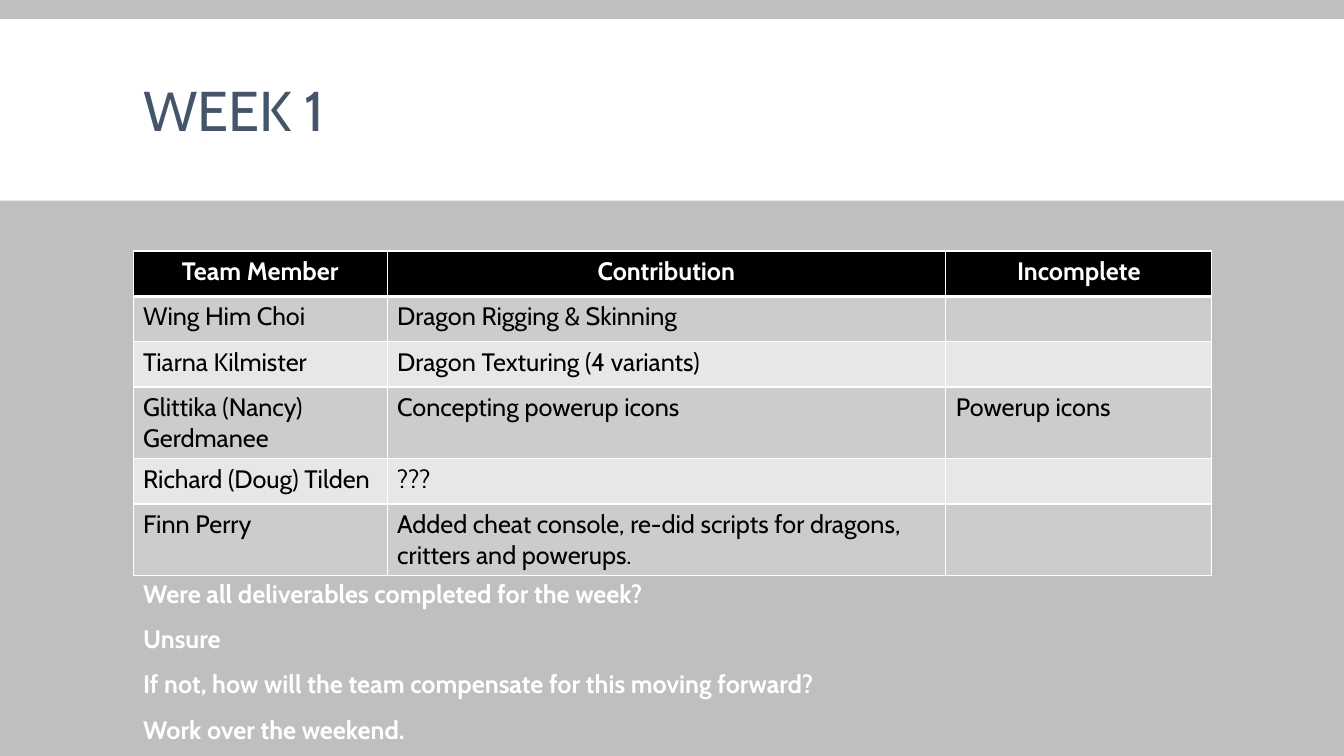
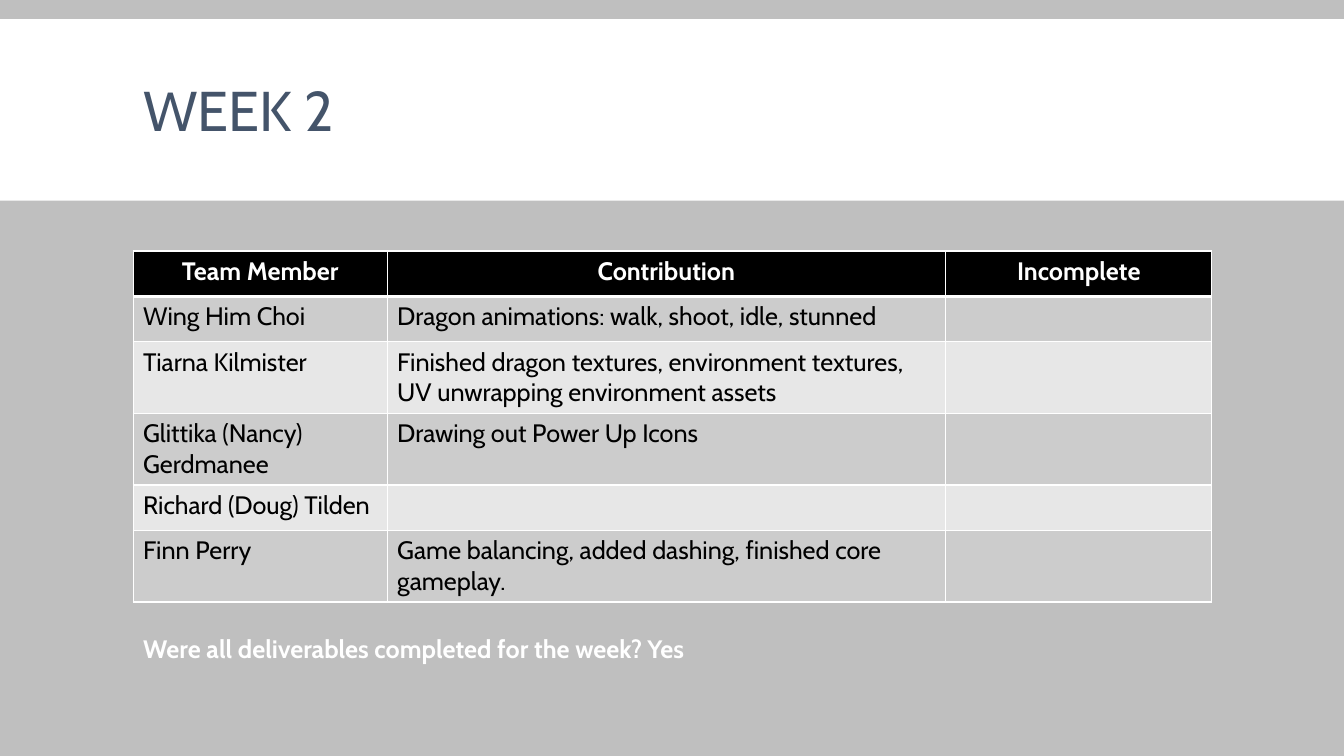
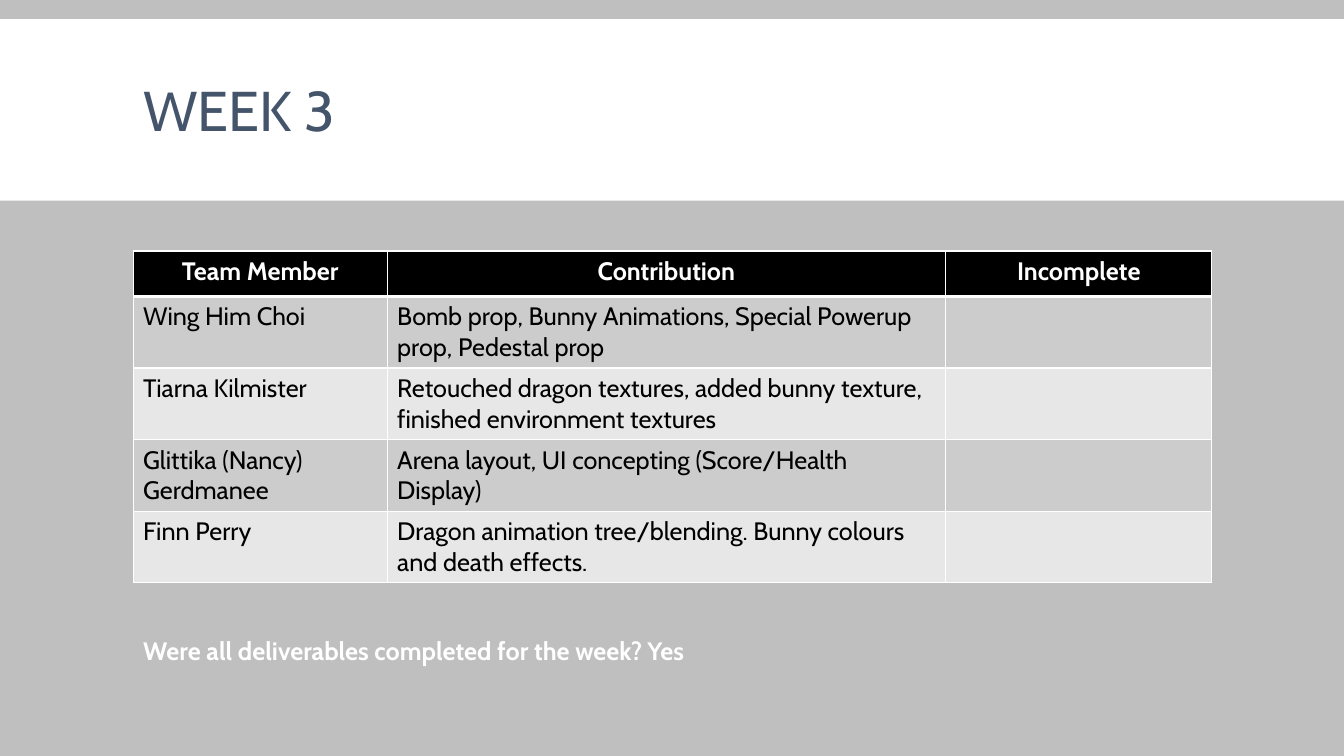
from dataclasses import dataclass

from lxml.etree import SubElement
from pptx import Presentation
from pptx.dml.color import RGBColor
from pptx.enum.shapes import MSO_SHAPE
from pptx.enum.text import MSO_ANCHOR, MSO_AUTO_SIZE, PP_ALIGN
from pptx.oxml.ns import qn
from pptx.util import Inches, Pt


@dataclass(frozen=True)
class Theme:
    """Colours, font and type sizes of the whole presentation."""
    font: str = "Cabin"
    title_size: int = 40
    text_size: int = 18
    background: str = "BFBFBF"
    white: str = "FFFFFF"
    black: str = "000000"
    title: str = "44546A"
    row_fills: tuple = ("CCCCCC", "E7E7E7")


@dataclass(frozen=True)
class Box:
    """A region of the slide, in inches."""
    left: float
    top: float
    width: float
    height: float

    def lengths(self):
        """Return the four sides as slide lengths."""
        return [Inches(n) for n in (self.left, self.top, self.width, self.height)]


THEME = Theme()
LEFT, WIDTH = 1.32, 10.7
BAND = Box(0, 0.19, 13.33, 1.8)
TITLE = Box(LEFT, 0.31, WIDTH, 1.65)
ROW_HEIGHT = 0.45
COLUMN_WIDTHS = (2.52, 5.54, 2.64)
HEADINGS = ("Team Member", "Contribution", "Incomplete")
WING, TIARNA, NANCY, DOUG, FINN = (
    "Wing Him Choi", "Tiarna Kilmister", "Glittika (Nancy) Gerdmanee",
    "Richard (Doug) Tilden", "Finn Perry")
QUESTION = "Were all deliverables completed for the week?"
ANSWER_TAB = 7


@dataclass(frozen=True)
class Week:
    """The report of one week."""
    title: str
    contributions: tuple
    review: tuple
    review_box: Box
    review_spacing: float = 0.95


WEEKS = (
    Week("WEEK 1", (
        (WING, "Dragon Rigging & Skinning", ""),
        (TIARNA, "Dragon Texturing (4 variants)", ""),
        (NANCY, "Concepting powerup icons", "Powerup icons"),
        (DOUG, "???", ""),
        (FINN, "Added cheat console, re-did scripts for dragons, "
               "critters and powerups.", "")),
        (QUESTION, "Unsure",
         "If not, how will the team compensate for this moving forward?",
         "Work over the weekend."),
        Box(LEFT, 5.73, WIDTH, 1.77), 0.85),
    Week("WEEK 2", (
        (WING, "Dragon animations: walk, shoot, idle, stunned", ""),
        (TIARNA, "Finished dragon textures, environment textures, "
                 "UV unwrapping environment assets", ""),
        (NANCY, "Drawing out Power Up Icons", ""),
        (DOUG, "", ""),
        (FINN, "Game balancing, added dashing, finished core gameplay.", "")),
        (QUESTION + "\tYes",), Box(LEFT, 6.25, WIDTH, 0.88)),
    Week("WEEK 3", (
        (WING, "Bomb prop, Bunny Animations, Special Powerup prop, "
               "Pedestal prop", ""),
        (TIARNA, "Retouched dragon textures, added bunny texture, "
                 "finished environment textures", ""),
        (NANCY, "Arena layout, UI concepting (Score/Health Display)", ""),
        (FINN, "Dragon animation tree/blending. Bunny colours "
               "and death effects.", "")),
        (QUESTION + "\tYes",), Box(LEFT, 6.27, WIDTH, 0.88)),
)


def place(shape, box):
    """Move a shape into a box."""
    shape.left, shape.top, shape.width, shape.height = box.lengths()


def add_run(paragraph, text, size, colour, bold=False):
    """Add one formatted run to a paragraph."""
    run = paragraph.add_run()
    run.text = text
    font = run.font
    font.name, font.size, font.bold = THEME.font, Pt(size), bold
    font.color.rgb = RGBColor.from_string(colour)


def paint(fill, colour):
    """Give a fill one solid colour."""
    fill.solid()
    fill.fore_color.rgb = RGBColor.from_string(colour)


def style_layout(layout, slide, box):
    """Set the shared background and move a white title band to the layout."""
    paint(layout.background.fill, THEME.background)
    band = slide.shapes.add_shape(MSO_SHAPE.RECTANGLE, *box.lengths())
    band.shadow.inherit = False
    paint(band.fill, THEME.white)
    band.line.fill.background()
    band.element.nvSpPr.cNvPr.set("id", "20")
    layout.shapes.element.insert(2, band.element)


def fill_title(title, text, box):
    """Write the slide title in its placeholder."""
    place(title, box)
    frame = title.text_frame
    frame.word_wrap, frame.auto_size = True, MSO_AUTO_SIZE.NONE
    frame.vertical_anchor = MSO_ANCHOR.MIDDLE
    paragraph = frame.paragraphs[0]
    paragraph.alignment, paragraph.line_spacing = PP_ALIGN.LEFT, 0.85
    add_run(paragraph, text, THEME.title_size, THEME.title)


def add_borders(cell, top, bottom):
    """Draw white cell borders; top and bottom are widths in points."""
    properties = cell._tc.get_or_add_tcPr()
    for side, width in (("L", 1), ("R", 1), ("T", top), ("B", bottom)):
        line = SubElement(properties, qn(f"a:ln{side}"), w=str(Pt(width)))
        SubElement(SubElement(line, qn("a:solidFill")), qn("a:srgbClr"),
                   val=THEME.white)


def add_contributions(slide, contributions, box):
    """Add the table of team members and their work."""
    rows = (HEADINGS, *contributions)
    table = slide.shapes.add_table(len(rows), len(HEADINGS), *box.lengths()).table
    for column, width in zip(table.columns, COLUMN_WIDTHS):
        column.width = Inches(width)
    for r, texts in enumerate(rows):
        heading = r == 0
        table.rows[r].height = Inches(ROW_HEIGHT)
        for c, text in enumerate(texts):
            cell = table.cell(r, c)
            add_borders(cell, 3 if r == 1 else 1, 3 if heading else 1)
            paint(cell.fill, THEME.black if heading
                  else THEME.row_fills[(r - 1) % 2])
            paragraph = cell.text_frame.paragraphs[0]
            paragraph.alignment = PP_ALIGN.CENTER if heading else PP_ALIGN.LEFT
            if text:
                add_run(paragraph, text, THEME.text_size,
                        THEME.white if heading else THEME.black, heading)


def fill_review(body, lines, box, spacing):
    """Write the weekly review, without bullets, in the body placeholder."""
    place(body, box)
    frame = body.text_frame
    frame.word_wrap, frame.auto_size = True, MSO_AUTO_SIZE.NONE
    for i, text in enumerate(lines):
        paragraph = frame.add_paragraph() if i else frame.paragraphs[0]
        paragraph.line_spacing = spacing
        paragraph.space_before, paragraph.space_after = Pt(12), Pt(2)
        properties = paragraph._p.get_or_add_pPr()
        properties.set("marL", "0")
        properties.set("indent", "0")
        SubElement(properties, qn("a:buNone"))
        if "\t" in text:
            SubElement(SubElement(properties, qn("a:tabLst")), qn("a:tab"),
                       pos=str(Inches(ANSWER_TAB)), algn="l")
        add_run(paragraph, text, THEME.text_size, THEME.white, True)


def add_week(slide, week):
    """Fill one weekly report slide."""
    title, body = slide.placeholders
    fill_title(title, week.title, TITLE)
    table_box = Box(LEFT, 2.49, WIDTH, ROW_HEIGHT * (len(week.contributions) + 1))
    add_contributions(slide, week.contributions, table_box)
    fill_review(body, week.review, week.review_box, week.review_spacing)


def main():
    """Build and save the presentation."""
    presentation = Presentation()
    presentation.slide_width = Inches(13.33)
    presentation.slide_height = Inches(7.5)
    layout = presentation.slide_layouts[1]
    slides = [presentation.slides.add_slide(layout) for _ in WEEKS]
    style_layout(layout, slides[0], BAND)
    for slide, week in zip(slides, WEEKS):
        add_week(slide, week)
    presentation.save("out.pptx")


main()
